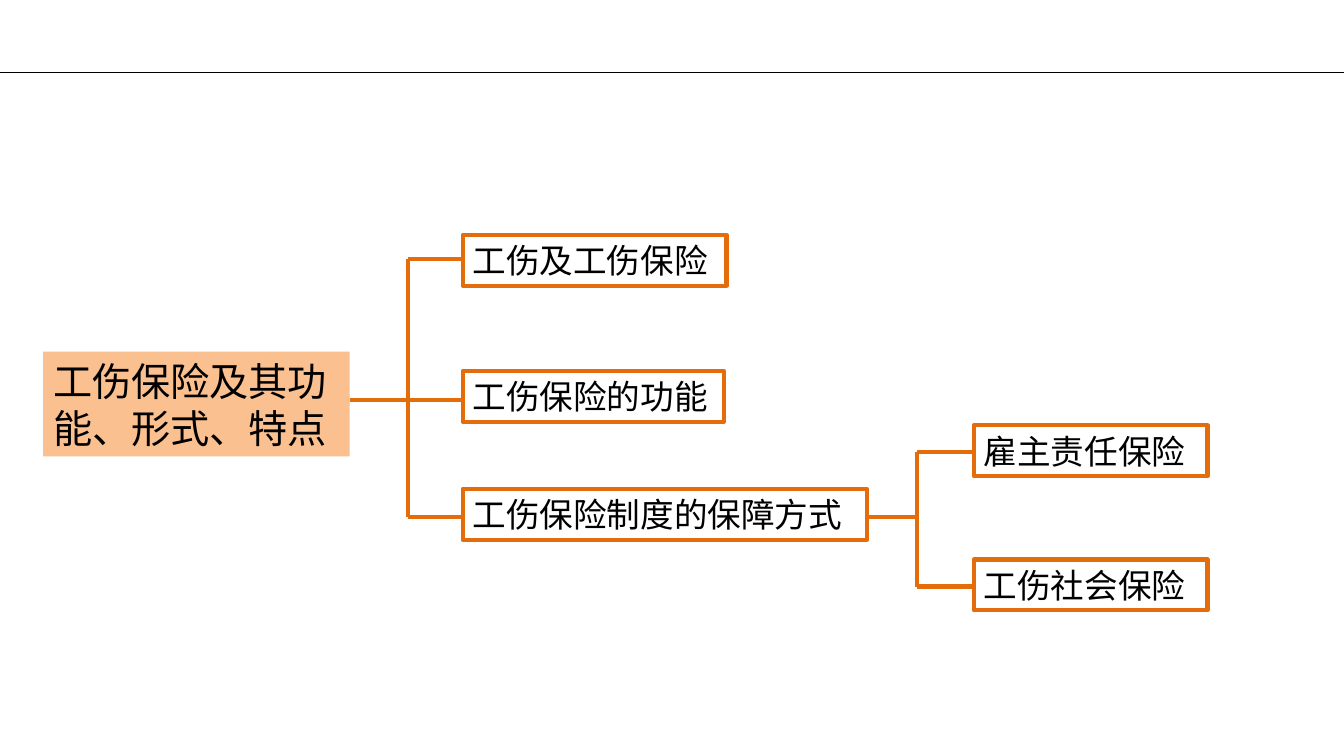
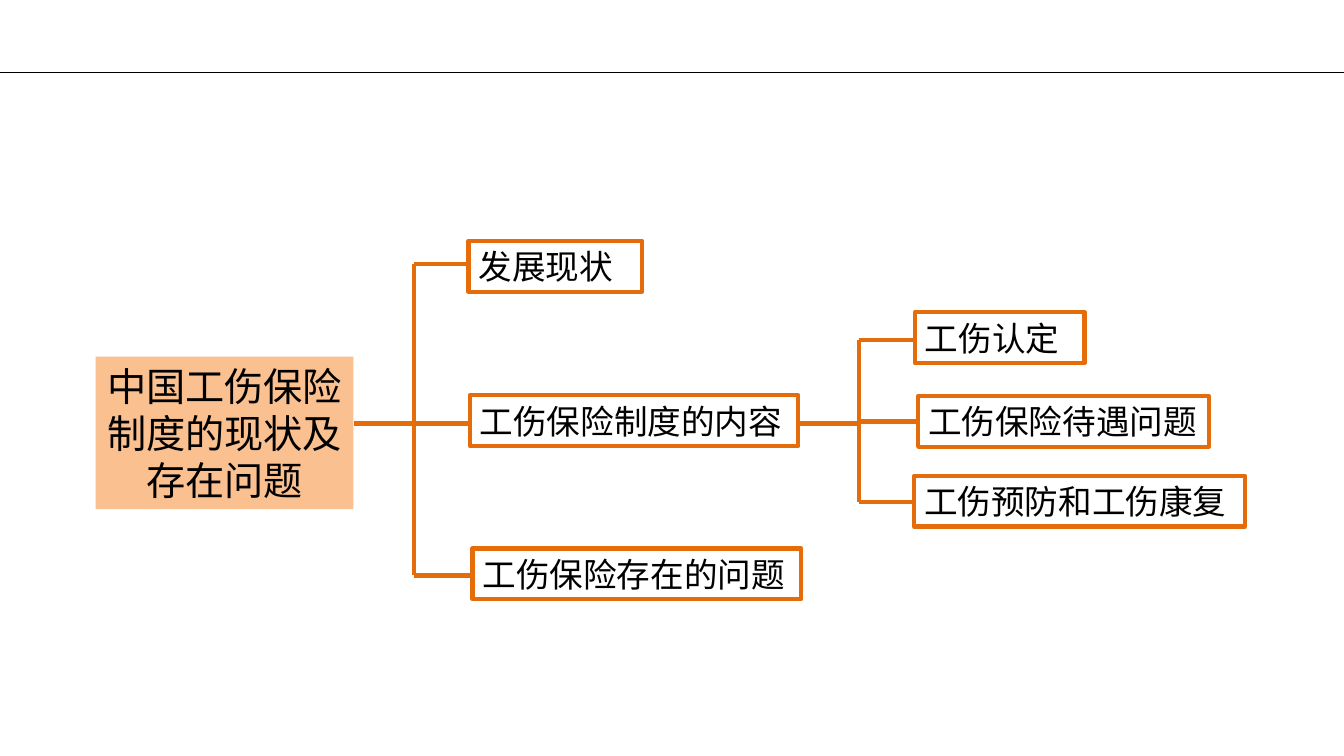
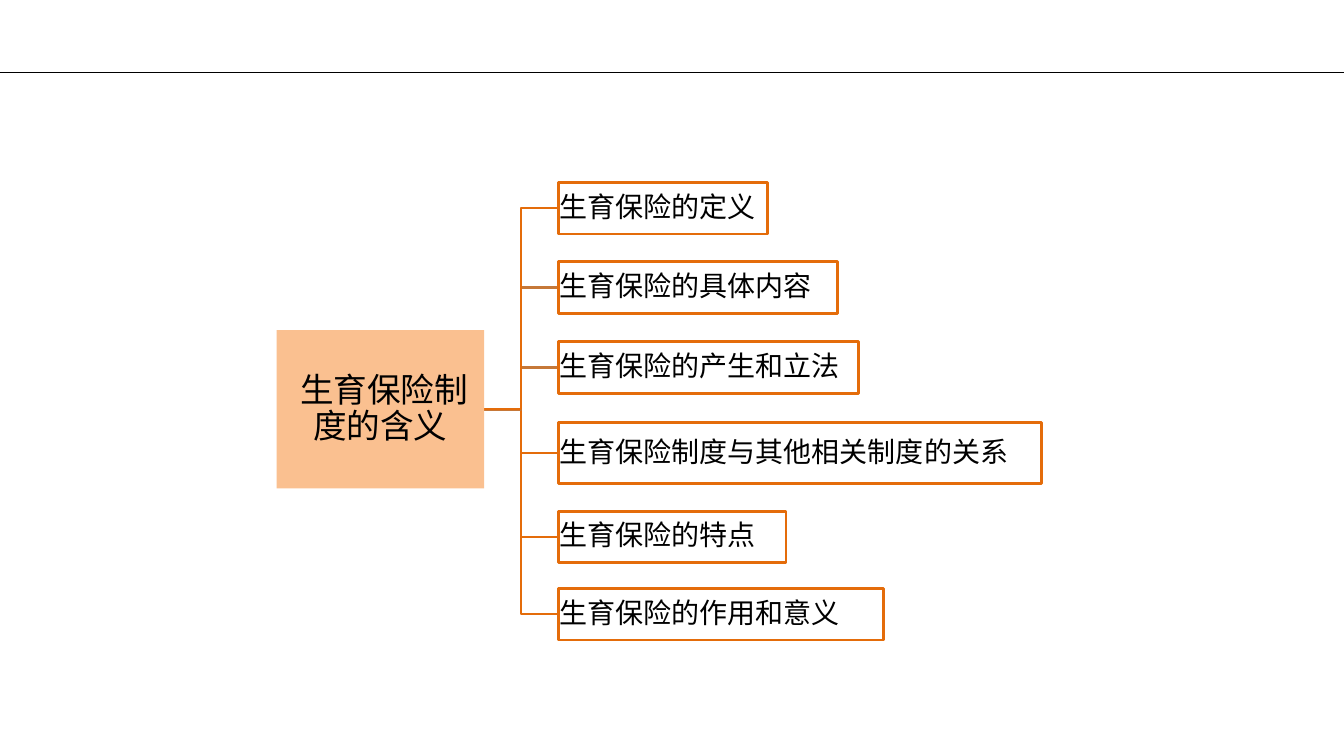
from lxml.etree import SubElement
from pptx import Presentation
from pptx.dml.color import RGBColor
from pptx.enum.shapes import MSO_CONNECTOR, MSO_SHAPE
from pptx.enum.text import MSO_ANCHOR, PP_ALIGN
from pptx.oxml.ns import qn
from pptx.util import Cm, Pt

COLOURS = {"ink": "000000", "branch": "E46C0A", "twig": "C67838", "root": "FAC090"}
SLIDE_WIDTH, SLIDE_HEIGHT, RULE_TOP = 33.87, 19.05, 1.83
NODE_HEIGHT = 1.28

# Content. Root: text, left, top, width, height (cm).
# Node: text, left, top, width, height of its arm on the slide (cm).
# The joint is where the vertical trunk of a fork stands;
# "parent" is the node from which the second fork grows.
OUTLINES = [
    {
        "font": "Calibri",
        "root": ("工伤保险及其功能、形式、特点", 1.09, 8.86, 7.72, 2.64),
        "root_align": PP_ALIGN.LEFT,
        "joint": 10.29,
        "nodes": [
            ("工伤及工伤保险", 11.66, 5.92, 6.65, 6.53),
            ("工伤保险的功能", 11.66, 9.35, 6.58, 10.08),
            ("工伤保险制度的保障方式", 11.66, 12.32, 10.19, 13.03),
        ],
        "parent": 2,
        "sub_joint": 23.11,
        "sub_nodes": [
            ("雇主责任保险", 24.54, 10.72, 5.89, 11.38),
            ("工伤社会保险", 24.54, 14.1, 5.89, 14.78),
        ],
    },
    {
        "font": "Noto Sans CJK SC",
        "root": ("中国工伤保险制度的现状及存在问题", 2.41, 8.99, 6.5, 3.84),
        "root_align": PP_ALIGN.CENTER,
        "joint": 10.44,
        "nodes": [
            ("发展现状", 11.81, 6.07, 4.37, 6.65),
            ("工伤保险制度的内容", 11.84, 9.96, 8.28, 10.67),
            ("工伤保险存在的问题", 11.91, 13.82, 8.28, 14.5),
        ],
        "parent": 1,
        "sub_joint": 21.64,
        "sub_nodes": [
            ("工伤认定", 23.06, 7.87, 4.27, 8.56),
            ("工伤保险待遇问题", 23.14, 9.98, 7.32, 10.62),
            ("工伤预防和工伤康复", 23.04, 11.99, 8.33, 12.65),
        ],
    },
]

MATERNITY_FONT = "Noto Sans CJK SC"
MATERNITY_ROOT = (" 生育保险制度的含义", 6.97, 8.32, 5.23, 3.99)
MATERNITY_JOINT, MATERNITY_LEFT = 13.13, 14.07
# Text, top, width, height (cm), link colour, link weight (pt)
MATERNITY_TOPICS = [
    ("生育保险的定义", 4.6, 5.28, 1.3, "branch", 1.5),
    ("生育保险的具体内容", 6.6, 7.04, 1.3, "twig", 2),
    ("生育保险的产生和立法", 8.61, 7.57, 1.3, "twig", 2),
    ("生育保险制度与其他相关制度的关系", 10.64, 12.17, 1.55, "branch", 1.5),
    ("生育保险的特点", 12.88, 5.74, 1.3, "branch", 1.5),
    ("生育保险的作用和意义", 14.83, 8.2, 1.3, "branch", 1.5),
]


def rgb(name):
    return RGBColor.from_string(COLOURS[name])


def add_line(slide, x1, y1, x2, y2, colour="branch", weight=3):
    line = slide.shapes.add_connector(
        MSO_CONNECTOR.STRAIGHT, Cm(x1), Cm(y1), Cm(x2), Cm(y2))
    line.line.color.rgb = rgb(colour)
    line.line.width = Pt(weight)
    SubElement(line.element.spPr, qn("a:effectLst"))
    return line


def add_box(slide, text, left, top, width, height, font, size, fill=None,
            weight=3, align=PP_ALIGN.LEFT, inset=None, spacing=None):
    """A filled box has no outline; an unfilled one is outlined in orange."""
    box = slide.shapes.add_shape(
        MSO_SHAPE.RECTANGLE, Cm(left), Cm(top), Cm(width), Cm(height))
    box.shadow.inherit = False
    if fill:
        box.fill.solid()
        box.fill.fore_color.rgb = rgb(fill)
        box.line.fill.background()
    else:
        box.fill.background()
        box.line.color.rgb = rgb("branch")
        box.line.width = Pt(weight)
    frame = box.text_frame
    frame.word_wrap = True
    frame.vertical_anchor = MSO_ANCHOR.MIDDLE
    if inset is not None:
        frame.margin_left = frame.margin_right = Cm(inset)
        frame.margin_top = frame.margin_bottom = Cm(inset)
    paragraph = frame.paragraphs[0]
    paragraph.alignment = align
    if spacing:
        paragraph.line_spacing = spacing
    run = paragraph.add_run()
    run.text = text
    run.font.name = font
    run.font.size = Pt(size)
    run.font.color.rgb = rgb("ink")


def add_fork(slide, start, stem, joint, nodes, font):
    """Stem, trunk, and an arm with its box for every node."""
    arms = [node[-1] for node in nodes]
    add_line(slide, start, stem, joint, stem)
    add_line(slide, joint, min(arms), joint, max(arms))
    for text, left, top, width, arm in nodes:
        add_line(slide, joint, arm, left, arm)
        add_box(slide, text, left, top, width, NODE_HEIGHT, font, 24)


def draw_outline(slide, outline):
    font, nodes = outline["font"], outline["nodes"]
    _, left, _, width, _ = outline["root"]
    add_box(slide, *outline["root"], font, 28, fill="root",
            align=outline["root_align"])
    add_fork(slide, left + width, nodes[1][-1], outline["joint"], nodes, font)
    _, left, _, width, arm = nodes[outline["parent"]]
    add_fork(slide, left + width, arm, outline["sub_joint"],
             outline["sub_nodes"], font)


def draw_maternity(slide):
    _, left, top, width, height = MATERNITY_ROOT
    start, stem = left + width, top + height / 2
    # Links, lowest first
    for _, top, _, height, colour, weight in reversed(MATERNITY_TOPICS):
        arm = top + height / 2
        bends = [(MATERNITY_JOINT, stem), (MATERNITY_JOINT, arm), (MATERNITY_LEFT, arm)]
        outline = slide.shapes.build_freeform(Cm(start), Cm(stem))
        outline.add_line_segments([(Cm(x), Cm(y)) for x, y in bends], close=False)
        link = outline.convert_to_shape()
        link.shadow.inherit = False
        link.fill.background()
        link.line.color.rgb = rgb(colour)
        link.line.width = Pt(weight)
    # Boxes
    add_box(slide, *MATERNITY_ROOT, MATERNITY_FONT, 24, fill="root",
            align=PP_ALIGN.CENTER, inset=0.05, spacing=0.9)
    for text, top, width, height, _, _ in MATERNITY_TOPICS:
        add_box(slide, text, MATERNITY_LEFT, top, width, height, MATERNITY_FONT,
                20, weight=2, inset=0.03, spacing=0.9)


def main():
    deck = Presentation()
    deck.slide_width, deck.slide_height = Cm(SLIDE_WIDTH), Cm(SLIDE_HEIGHT)
    blank = deck.slide_layouts[6]
    slides = [deck.slides.add_slide(blank) for _ in range(3)]

    # The header rule lives on the shared layout
    rule = add_line(slides[0], 0, RULE_TOP, SLIDE_WIDTH, RULE_TOP, "ink", 1)
    blank.shapes.element.append(rule.element)

    for slide, outline in zip(slides, OUTLINES):
        draw_outline(slide, outline)
    draw_maternity(slides[2])
    deck.save("out.pptx")


if __name__ == "__main__":
    main()
